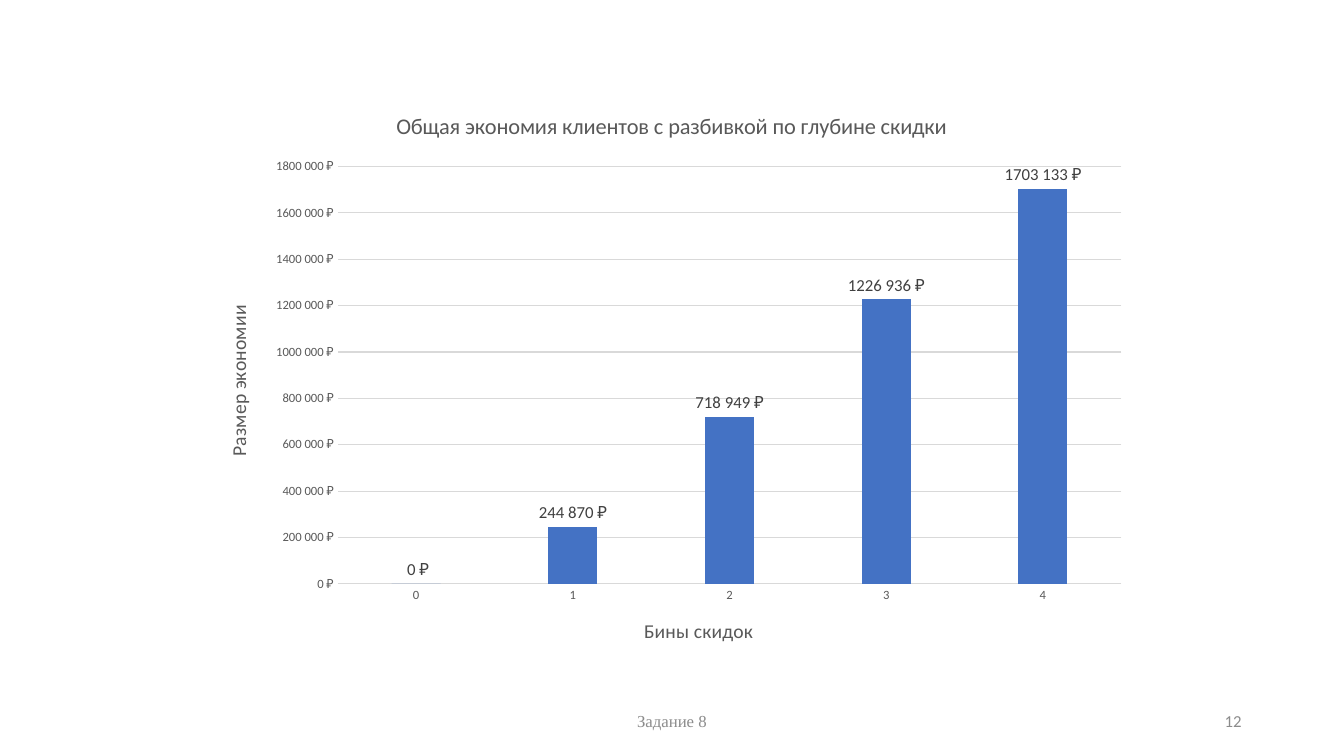
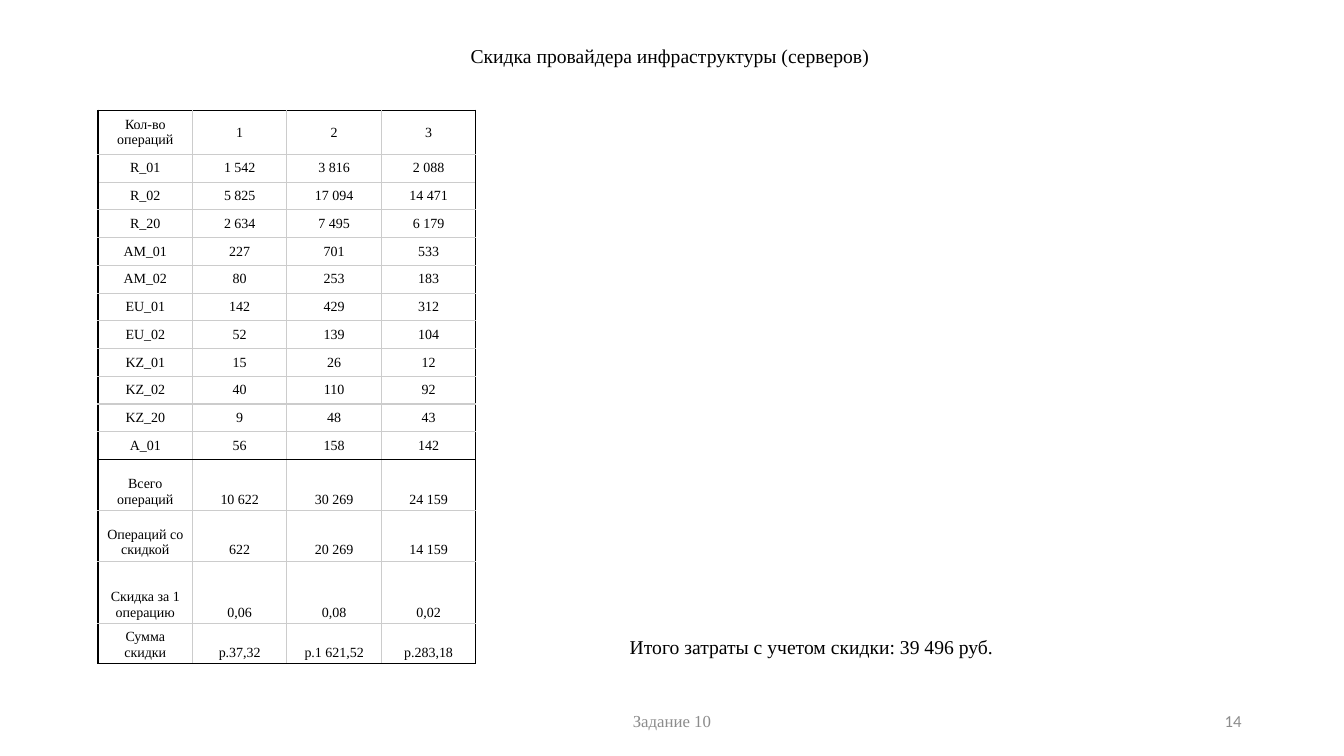
from lxml.etree import SubElement
from pptx import Presentation
from pptx.chart.data import CategoryChartData
from pptx.dml.color import RGBColor
from pptx.enum.chart import XL_CHART_TYPE as ChartType, XL_LABEL_POSITION as LabelPosition
from pptx.enum.chart import XL_TICK_MARK as TickMark
from pptx.enum.text import MSO_ANCHOR as Anchor, MSO_AUTO_SIZE as AutoSize, PP_ALIGN as Align
from pptx.oxml.ns import qn
from pptx.util import Cm, Pt

BLACK = RGBColor(0x00, 0x00, 0x00)
LABEL_GREY = RGBColor(0x40, 0x40, 0x40)
AXIS_GREY = RGBColor(0x59, 0x59, 0x59)
FOOTER_GREY = RGBColor(0x8C, 0x8C, 0x8C)
BORDER_GREY = RGBColor(0xCC, 0xCC, 0xCC)
GRID_GREY = RGBColor(0xD9, 0xD9, 0xD9)
BLUE = RGBColor(0x44, 0x72, 0xC4)

SANS = "Calibri"
SERIF = "Times New Roman"
ROUBLES = '#\\ ##0\\ "₽"'

TABLE_LEFT = 2.47
TABLE_TOP = 2.78
COLUMN_WIDTH = 2.38
HEAD_HEIGHTS = [1.11, 0.7]
BODY_HEIGHTS = [0.7] * 10 + [1.28, 1.28, 1.57, 0.98]
FIRST_TOTAL = 10

HEAD_ROWS = [
    ("Кол-во операций", "1", "2", "3"),
    ("R_01", "1 542", "3 816", "2 088"),
]
BODY_ROWS = [
    ("R_02", "5 825", "17 094", "14 471"),
    ("R_20", "2 634", "7 495", "6 179"),
    ("AM_01", "227", "701", "533"),
    ("AM_02", "80", "253", "183"),
    ("EU_01", "142", "429", "312"),
    ("EU_02", "52", "139", "104"),
    ("KZ_01", "15", "26", "12"),
    ("KZ_02", "40", "110", "92"),
    ("KZ_20", "9", "48", "43"),
    ("A_01", "56", "158", "142"),
    ("Всего операций", "10 622", "30 269", "24 159"),
    ("Операций со скидкой", "622", "20 269", "14 159"),
    ("Скидка за 1 операцию", "0,06", "0,08", "0,02"),
    ("Сумма скидки", "р.37,32", "р.1 621,52", "р.283,18"),
]


def apply_format(target, values):
    for name, value in values.items():
        setattr(target, name, value)


def style_font(font, name, size, color):
    apply_format(font, {"name": name, "size": Pt(size), "bold": False})
    font.color.rgb = color


def style_line(line, color):
    line.color.rgb = color
    line.width = Pt(0.75)


def write_text(frame, text, name, size, color, align=Align.LEFT):
    para = frame.paragraphs[0]
    para.alignment = align
    span = para.add_run()
    span.text = text
    style_font(span.font, name, size, color)


def add_text(page, at, text, name, size, color, align=Align.LEFT, **frame_format):
    box = page.shapes.add_textbox(*map(Cm, at))
    apply_format(box.text_frame, {"word_wrap": True, **frame_format})
    write_text(box.text_frame, text, name, size, color, align)


def add_caption(page, at, text):
    add_text(page, at, text, SERIF, 14, BLACK,
             word_wrap=False, auto_size=AutoSize.SHAPE_TO_FIT_TEXT)


def add_footer(page, task, number):
    add_text(page, (23.92, 17.65, 7.62, 1.01), number, SANS, 12, FOOTER_GREY,
             Align.RIGHT, vertical_anchor=Anchor.MIDDLE)
    add_text(page, (11.22, 17.65, 11.43, 1.01), task, SERIF, 12, FOOTER_GREY,
             Align.CENTER, vertical_anchor=Anchor.MIDDLE)


def add_border(cell, side, color):
    line = SubElement(cell._tc.get_or_add_tcPr(), qn(f"a:ln{side}"), w=str(Pt(1)))
    fill = SubElement(line, qn("a:solidFill"))
    SubElement(fill, qn("a:srgbClr"), val=str(color))


def add_grid(page, top, heights, rows, dark_lines):
    width = len(rows[0])
    frame = page.shapes.add_table(len(rows), width, Cm(TABLE_LEFT), Cm(top),
                                  Cm(COLUMN_WIDTH * width), Cm(sum(heights)))
    table = frame.table
    apply_format(table, {"first_row": False, "horz_banding": False})
    for column in table.columns:
        column.width = Cm(COLUMN_WIDTH)
    for r, (height, texts) in enumerate(zip(heights, rows)):
        table.rows[r].height = Cm(height)
        for c, text in enumerate(texts):
            cell = table.cell(r, c)
            apply_format(cell, {
                "margin_left": Cm(0.18), "margin_right": Cm(0.18),
                "margin_top": Cm(0.08), "margin_bottom": Cm(0.08),
                "vertical_anchor": Anchor.BOTTOM if r >= FIRST_TOTAL else Anchor.MIDDLE,
            })
            write_text(cell.text_frame, text, SERIF, 10, BLACK, Align.CENTER)
            dark_sides = {"L": c == 0, "R": c == width - 1,
                          "T": r in dark_lines, "B": r + 1 in dark_lines}
            for side, dark in dark_sides.items():
                add_border(cell, side, BLACK if dark else BORDER_GREY)
            cell.fill.background()


def style_axis(axis, title):
    apply_format(axis, {"major_tick_mark": TickMark.NONE, "minor_tick_mark": TickMark.NONE})
    style_font(axis.tick_labels.font, SANS, 9, AXIS_GREY)
    write_text(axis.axis_title.text_frame, title, SANS, 14, AXIS_GREY, Align.CENTER)


def add_savings_chart(page):
    data = CategoryChartData(number_format=ROUBLES)
    data.categories = ["0", "1", "2", "3", "4"]
    data.add_series("Размер экономии", (0, 244870, 718949, 1226936, 1703133))
    frame = page.shapes.add_chart(ChartType.COLUMN_CLUSTERED, Cm(5.13), Cm(2.27),
                                  Cm(23.6), Cm(14.53), data)
    chart = frame.chart
    chart.has_legend = False
    style_font(chart.font, SANS, 10, BLACK)
    write_text(chart.chart_title.text_frame,
               "Общая экономия клиентов с разбивкой по глубине скидки",
               SANS, 16, AXIS_GREY, Align.CENTER)

    style_axis(chart.category_axis, "Бины скидок")
    style_line(chart.category_axis.format.line, GRID_GREY)
    values = chart.value_axis
    style_axis(values, "Размер экономии")
    apply_format(values, {"minimum_scale": 0, "maximum_scale": 1800000, "major_unit": 200000})
    values.format.line.fill.background()
    style_line(values.major_gridlines.format.line, GRID_GREY)
    number_format = {"number_format": ROUBLES, "number_format_is_linked": False}
    apply_format(values.tick_labels, number_format)

    plot = chart.plots[0]
    apply_format(plot, {"gap_width": 219, "overlap": -27, "vary_by_categories": False})
    bars = plot.series[0]
    bars.format.fill.solid()
    bars.format.fill.fore_color.rgb = BLUE
    labels = bars.data_labels
    apply_format(labels, {**number_format, "show_value": True,
                          "position": LabelPosition.OUTSIDE_END})
    style_font(labels.font, SANS, 12, LABEL_GREY)


def add_savings_page(page):
    add_savings_chart(page)
    add_footer(page, "Задание 8", "12")


def add_discount_page(page):
    add_footer(page, "Задание 10", "14")
    add_grid(page, TABLE_TOP, HEAD_HEIGHTS, HEAD_ROWS, {0})
    add_grid(page, TABLE_TOP + sum(HEAD_HEIGHTS), BODY_HEIGHTS, BODY_ROWS,
             {FIRST_TOTAL, len(BODY_ROWS)})
    add_caption(page, (11.61, 0.99, 10.64, 0.86), "Скидка провайдера инфраструктуры (серверов)")
    add_caption(page, (15.62, 15.88, 9.75, 0.86), "Итого затраты с учетом скидки: 39 496 руб.")


def main():
    deck = Presentation()
    apply_format(deck, {"slide_width": Cm(33.87), "slide_height": Cm(19.05)})
    for fill_page in (add_savings_page, add_discount_page):
        fill_page(deck.slides.add_slide(deck.slide_layouts[6]))
    deck.save("out.pptx")


if __name__ == "__main__":
    main()
